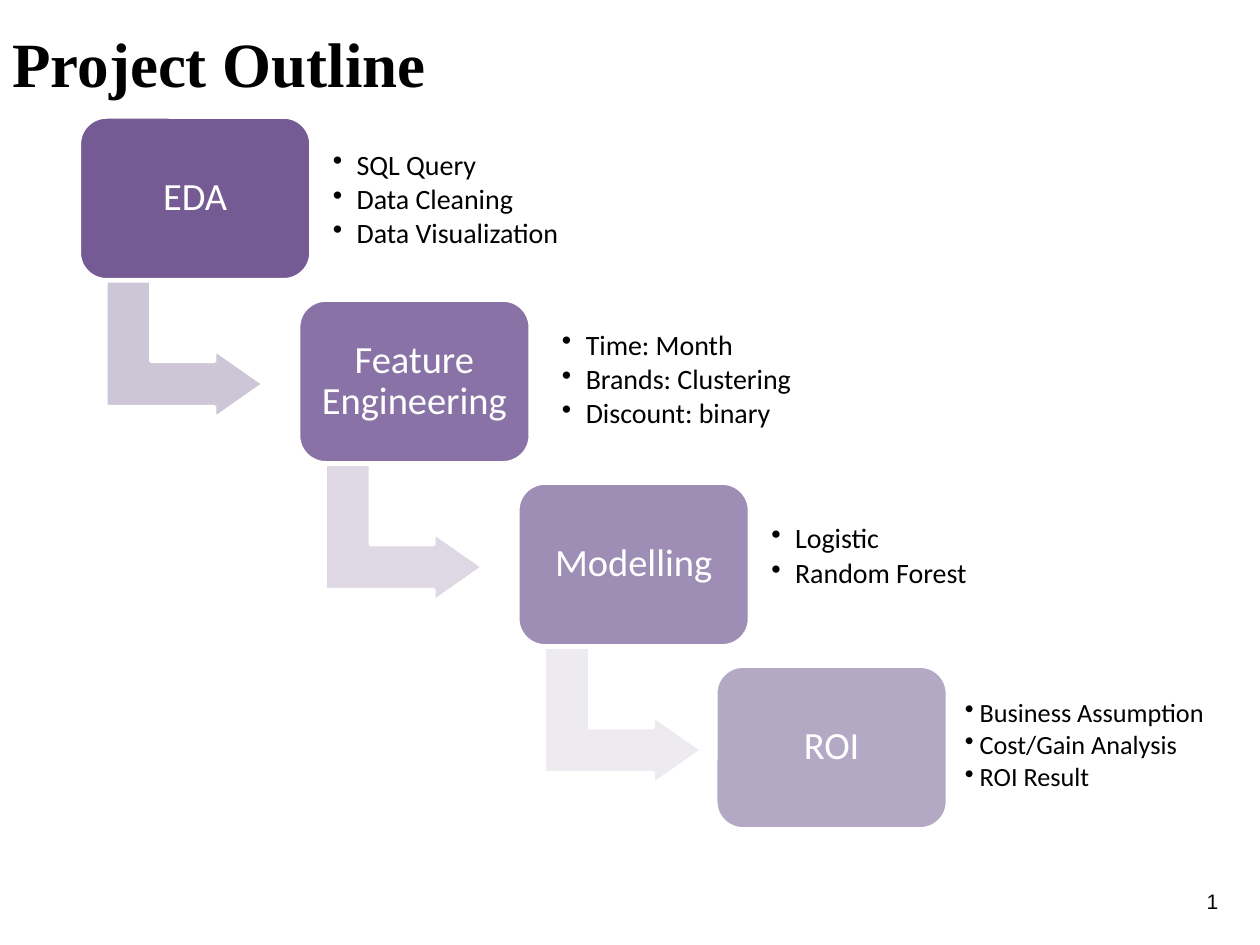
import lxml.etree
import pptx
import pptx.dml.color
import pptx.enum.shapes
import pptx.enum.text
import pptx.oxml.ns
import pptx.util

Cm = pptx.util.Cm
Pt = pptx.util.Pt
ALIGN = pptx.enum.text.PP_ALIGN
SHAPE = pptx.enum.shapes.MSO_SHAPE

COLORS = {
    "black": "000000",
    "white": "FFFFFF",
    "eda": "745B93",
    "features": "8973A6",
    "modelling": "9E8EB5",
    "roi": "B4A9C5",
    "eda_arrow": "CDC6D7",
    "features_arrow": "DDD8E3",
    "modelling_arrow": "EDEAF0",
}


def color(name):
    return pptx.dml.color.RGBColor.from_string(COLORS[name])


def write_text(frame, text, *, size, font="Calibri", fill="black", bold=False,
               align=ALIGN.LEFT, inset=0.25, line_spacing=1.0, space_after=0,
               bullet_indent=None):
    """Write one paragraph per line of text, centred vertically in the frame."""
    frame.word_wrap = True
    frame.vertical_anchor = pptx.enum.text.MSO_ANCHOR.MIDDLE
    frame.margin_left = frame.margin_right = Cm(inset)
    frame.margin_top = frame.margin_bottom = Cm(inset)
    for index, line in enumerate(text.split("\n")):
        paragraph = frame.add_paragraph() if index else frame.paragraphs[0]
        paragraph.alignment = align
        paragraph.line_spacing = line_spacing
        paragraph.space_after = Pt(space_after)
        run = paragraph.add_run()
        run.text = line
        run.font.name = font
        run.font.size = Pt(size)
        run.font.bold = bold
        run.font.color.rgb = color(fill)
        if bullet_indent:
            paragraph.level = 1
            properties = paragraph._p.get_or_add_pPr()
            properties.set("marL", str(Cm(bullet_indent)))
            properties.set("indent", str(-Cm(bullet_indent)))
            bullet = lxml.etree.SubElement(properties, pptx.oxml.ns.qn("a:buChar"))
            bullet.set("char", "•")


class StepSlide:
    """Holds the style of the step diagram and the current slide."""

    box_size = (4.67, 3.28)
    arrow_size = (2.77, 3.18)
    arrow_offset = (0.74, 3.1)
    list_height = 2.64

    def __init__(self, slide):
        self.slide = slide

    def add_shape(self, kind, left, top, size, fill, adjustments):
        shape = self.slide.shapes.add_shape(
            kind, Cm(left), Cm(top), Cm(size[0]), Cm(size[1]))
        shape.shadow.inherit = False
        shape.fill.solid()
        shape.fill.fore_color.rgb = color(fill)
        shape.line.color.rgb = color("white")
        shape.line.width = Pt(2)
        for index, value in enumerate(adjustments):
            shape.adjustments[index] = value
        return shape

    def add_text(self, text, left, top, width, height, **text_format):
        box = self.slide.shapes.add_textbox(Cm(left), Cm(top), Cm(width), Cm(height))
        write_text(box.text_frame, text, **text_format)

    def add_step(self, text, left, top, fill):
        box = self.add_shape(SHAPE.ROUNDED_RECTANGLE, left, top, self.box_size,
                             fill, [0.167])
        write_text(box.text_frame, text, size=22, fill="white",
                   align=ALIGN.CENTER, inset=0.23, line_spacing=0.9)

    def add_arrow(self, left, top, fill):
        """Add the arrow that leads from the step at left, top to the next."""
        arrow = self.add_shape(
            SHAPE.BENT_UP_ARROW, left + self.arrow_offset[0],
            top + self.arrow_offset[1], self.arrow_size, fill,
            [0.328, 0.25, 0.358])
        arrow.rotation = 90

    def add_bullets(self, items, left, top, width, size, indent, inset):
        self.add_text("\n".join(items), left, top, width, self.list_height,
                      size=size, inset=inset, line_spacing=0.9,
                      space_after=0.15 * size, bullet_indent=indent)


def main():
    presentation = pptx.Presentation()
    presentation.slide_width = Cm(25.4)
    presentation.slide_height = Cm(19.05)
    outline = StepSlide(presentation.slides.add_slide(presentation.slide_layouts[6]))

    # Page number
    outline.add_text("1", 23.16, 17.65, 1.65, 1.02, size=12, font="Arial",
                     align=ALIGN.RIGHT)

    # Steps: label, colour, left, then list left, top, width and items
    steps = [
        ("EDA", "eda", 1.6, 6.48, 2.72, 5.61,
         ["SQL Query", "Data Cleaning", "Data Visualization"]),
        ("Feature Engineering", "features", 6.02, 11.1, 6.35, 6.4,
         ["Time: Month", "Brands: Clustering", "Discount: binary"]),
        ("Modelling", "modelling", 10.44, 15.32, 9.91, 6.45,
         ["Logistic", "Random Forest"]),
        ("ROI", "roi", 14.43, 19.25, 13.72, 5.56,
         ["Business Assumption", "Cost/Gain Analysis", "ROI Result"]),
    ]
    first_top, step_height = 2.36, 3.69
    for index, (label, fill, left, list_left, list_top, width, items) in enumerate(steps):
        top = first_top + index * step_height
        is_last = index == len(steps) - 1
        if not is_last:
            outline.add_arrow(left, top, fill + "_arrow")
        outline.add_step(label, left, top, fill)
        # The last list is set tighter to fit beside the slide edge
        size, indent, inset = (15, 0.3, 0.2) if is_last else (16, 0.48, 0.23)
        outline.add_bullets(items, list_left, list_top, width, size, indent, inset)

    # Title
    outline.add_text("Project Outline", 0, 0.25, 20.93, 2.03, size=36,
                     font="Times New Roman", bold=True)

    presentation.save("out.pptx")


if __name__ == "__main__":
    main()
